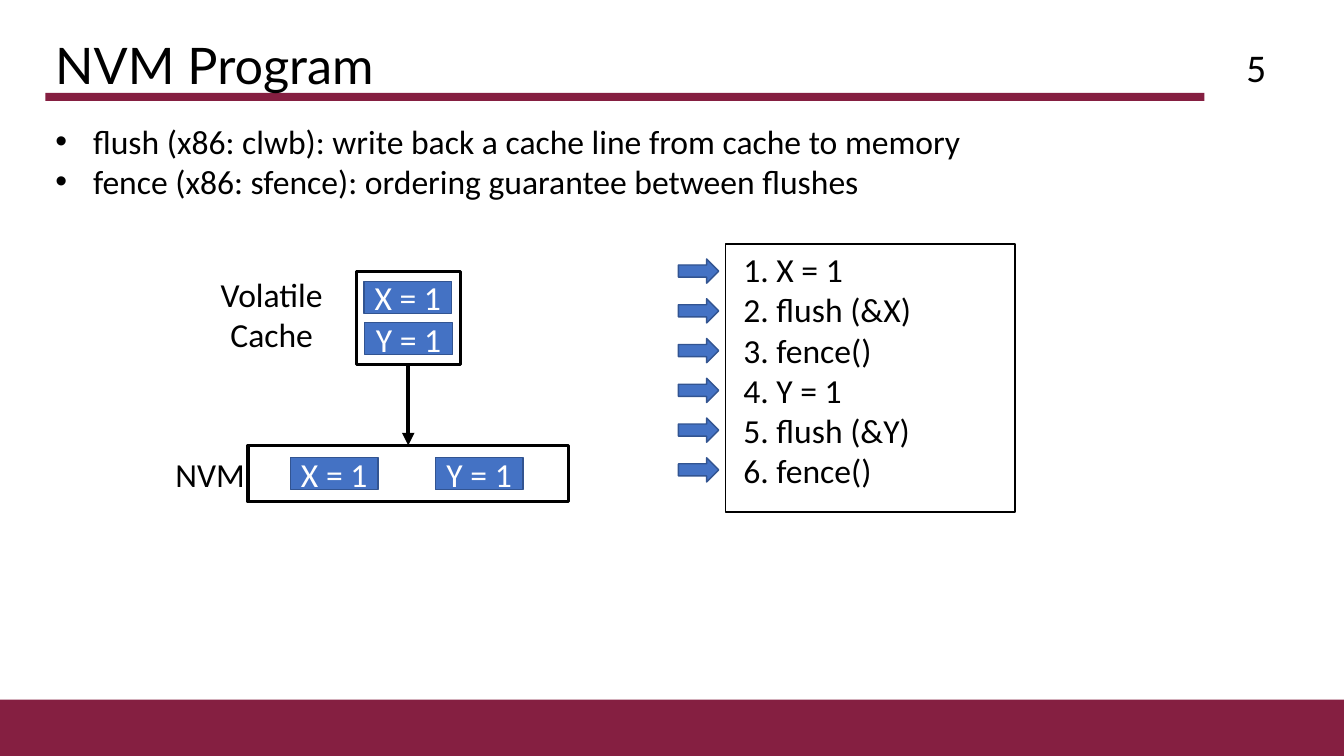
from lxml import etree
from pptx import Presentation
from pptx.dml.color import RGBColor
from pptx.enum.shapes import MSO_CONNECTOR, MSO_SHAPE
from pptx.enum.text import MSO_ANCHOR, PP_ALIGN
from pptx.oxml.ns import qn
from pptx.util import Pt

RECT, ARROW = MSO_SHAPE.RECTANGLE, MSO_SHAPE.RIGHT_ARROW
STRAIGHT = MSO_CONNECTOR.STRAIGHT
TOP, MIDDLE = MSO_ANCHOR.TOP, MSO_ANCHOR.MIDDLE
LEFT, CENTER, RIGHT = PP_ALIGN.LEFT, PP_ALIGN.CENTER, PP_ALIGN.RIGHT

MAROON = RGBColor(0x85, 0x1F, 0x41)
BLUE = RGBColor(0x44, 0x72, 0xC4)
DARK_BLUE = RGBColor(0x32, 0x54, 0x91)
BLACK = RGBColor(0, 0, 0)
WHITE = RGBColor(0xFF, 0xFF, 0xFF)


class SlideBuilder:
    """Holds the text style and the slide; all lengths are in points."""

    font = {"name": "Calibri", "size": Pt(24)}
    frame = {"word_wrap": True, "vertical_anchor": MIDDLE}

    def __init__(self, page):
        self.page = page

    def fill_text(self, box, lines, color=BLACK, align=CENTER, bullet_indent=0,
                  font=None, frame=None, paragraph=None):
        text_frame = box.text_frame
        for name, value in {**self.frame, **(frame or {})}.items():
            setattr(text_frame, name, value)
        for index, line in enumerate(lines):
            para = text_frame.add_paragraph() if index else text_frame.paragraphs[0]
            for name, value in {"alignment": align, **(paragraph or {})}.items():
                setattr(para, name, value)
            if bullet_indent:
                self.add_bullet(para, bullet_indent)
            span = para.add_run()
            span.text = line
            for name, value in {**self.font, **(font or {})}.items():
                setattr(span.font, name, value)
            span.font.color.rgb = color

    def add_bullet(self, para, indent):
        properties = para._p.get_or_add_pPr()
        properties.set("marL", str(Pt(indent)))
        properties.set("indent", str(-Pt(indent)))
        bullet_font = etree.SubElement(properties, qn("a:buFont"))
        bullet_font.set("typeface", "Arial")
        etree.SubElement(properties, qn("a:buChar")).set("char", "•")

    def text(self, place, lines, **style):
        box = self.page.shapes.add_textbox(*map(Pt, place))
        self.fill_text(box, lines, **style)

    def shape(self, place, fill, line=None, width=1, kind=RECT, lines=(), **style):
        box = self.page.shapes.add_shape(kind, *map(Pt, place))
        box.shadow.inherit = False
        box.fill.solid()
        box.fill.fore_color.rgb = fill
        if line is None:
            box.line.fill.background()
        else:
            box.line.color.rgb = line
            box.line.width = Pt(width)
        if lines:
            self.fill_text(box, lines, **style)

    def arrow(self, ends, color, width):
        connector = self.page.shapes.add_connector(STRAIGHT, *map(Pt, ends))
        connector.line.color.rgb = color
        connector.line.width = Pt(width)
        line = connector.line._get_or_add_ln()
        etree.SubElement(line, qn("a:tailEnd")).set("type", "triangle")
        etree.SubElement(connector._element.spPr, qn("a:effectLst"))


def main():
    deck = Presentation()
    deck.slide_width, deck.slide_height = Pt(960), Pt(540)
    builder = SlideBuilder(deck.slides.add_slide(deck.slide_layouts[6]))

    # Footer band, title with its rule, page number
    builder.shape((0, 499.7, 960, 40.3), MAROON)
    builder.shape((32.4, 66.3, 828, 5.8), MAROON)
    builder.text((32.4, 28.8, 828, 40.3), ["NVM Program"], align=LEFT,
                 font={"name": "Lato", "size": Pt(36)},
                 paragraph={"line_spacing": 0.9})
    builder.text((695.5, 33.1, 216, 28.8), ["5"], align=RIGHT,
                 font={"size": Pt(28)})

    # Instruction summary
    builder.text((32.4, 82.8, 879, 65.5), [
        "flush (x86: clwb): write back a cache line from cache to memory",
        "fence (x86: sfence): ordering guarantee between flushes",
    ], align=LEFT, bullet_indent=27, frame={"vertical_anchor": TOP})

    # Cache and memory
    builder.text((146.9, 191.5, 94.3, 65.5), ["Volatile", "Cache"])
    builder.text((115.9, 320.4, 68.4, 36), ["NVM"])
    builder.shape((254.5, 193.7, 74.2, 67), WHITE, BLACK, 2.25)
    builder.shape((177.1, 318.2, 229, 40.3), WHITE, BLACK, 2.25)
    builder.arrow((291.6, 260.7, 291.6, 318.2), BLACK, 3)

    # Stored values
    for label, left, top in (("X = 1", 260, 200.9), ("Y = 1", 260.6, 230.4),
                             ("X = 1", 207.4, 326.9), ("Y = 1", 311, 326.9)):
        builder.shape((left, top, 62.6, 23), BLUE, DARK_BLUE,
                      lines=[label], color=WHITE)

    # Program listing with one arrow per step
    steps = ["X = 1", "flush (&X)", "fence()", "Y = 1", "flush (&Y)", "fence()"]
    builder.shape((518.4, 174.2, 206.6, 191.5), WHITE, BLACK,
                  lines=[f"{number}. {step}" for number, step in enumerate(steps, 1)],
                  align=LEFT,
                  frame={"vertical_anchor": TOP, "margin_left": Pt(12.6)})
    for index in range(len(steps)):
        builder.shape((484.6, 185 + 28.4 * index, 28.8, 17.3), BLUE, DARK_BLUE,
                      kind=ARROW)

    deck.save("out.pptx")


if __name__ == "__main__":
    main()
